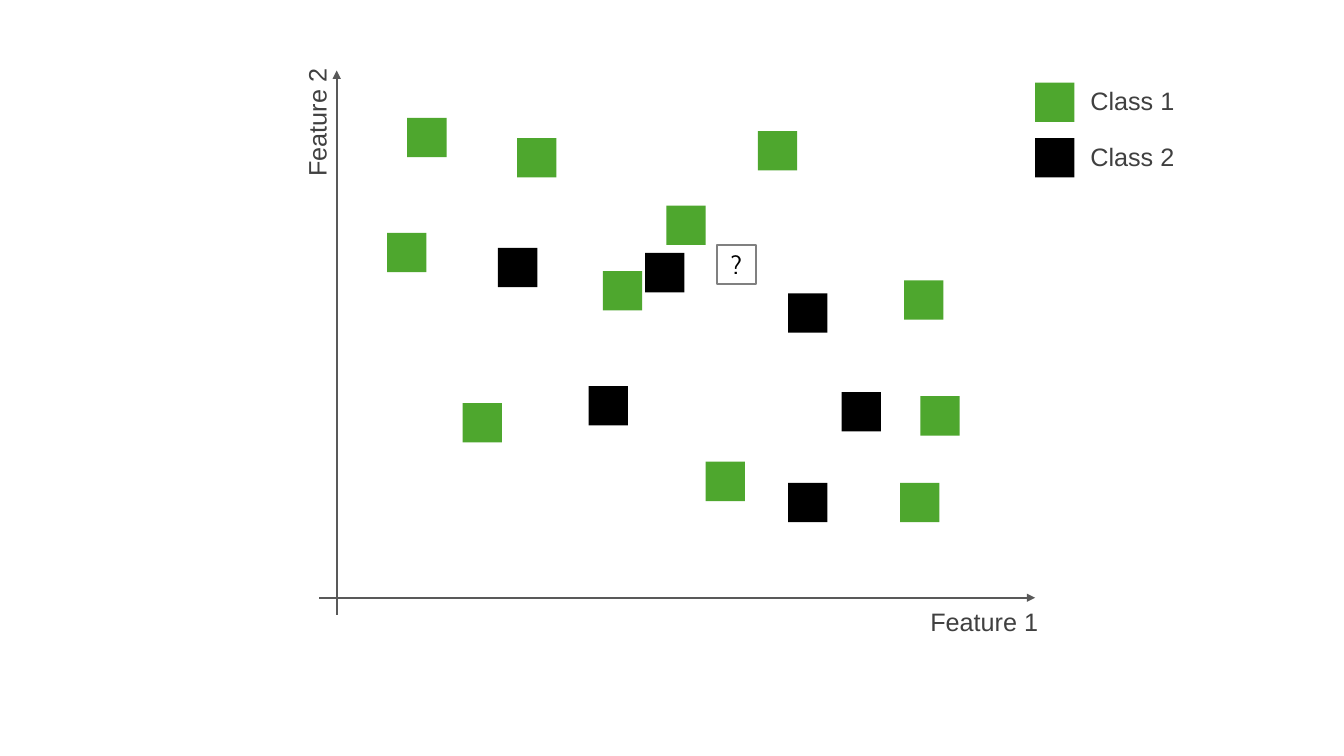
from lxml import etree
from pptx import Presentation
from pptx import util as u
from pptx.dml.color import RGBColor
from pptx.enum import shapes, text
from pptx.oxml.ns import qn

COLORS = {"class 1": "4EA72E", "class 2": "000000", "axis": "595959",
          "label": "404040", "query": "808080", "mark": "000000"}

# Left and top of every sample, in points
SAMPLES = {
    "class 1": [(290.9, 84.2), (276.5, 166.3), (369.4, 98.6), (330.5, 288),
                (430.6, 193.7), (475.9, 146.9), (541.4, 93.6), (645.8, 200.2),
                (504, 329.8), (657.4, 283), (643, 344.9)],
    "class 2": [(355.7, 177.1), (420.5, 275.8), (460.8, 180.7),
                (563, 209.5), (563, 344.9), (601.2, 280.1)],
}


class ScatterSlide:
    side = 28.1
    label_height = 28.8
    font_size = 18
    line_width = 1.5

    def __init__(self, slide):
        self.slide = slide

    def color(self, name):
        return RGBColor.from_string(COLORS[name])

    def set_text(self, shape, content, font, color):
        paragraph = shape.text_frame.paragraphs[0]
        paragraph.text = content
        run = paragraph.runs[0]
        run.font.name = font
        run.font.size = u.Pt(self.font_size)
        run.font.color.rgb = self.color(color)
        return paragraph

    def square(self, left, top):
        shape = self.slide.shapes.add_shape(
            shapes.MSO_SHAPE.RECTANGLE, u.Pt(left), u.Pt(top),
            u.Pt(self.side), u.Pt(self.side))
        shape.shadow.inherit = False
        return shape

    def sample(self, left, top, class_name):
        shape = self.square(left, top)
        shape.fill.solid()
        shape.fill.fore_color.rgb = self.color(class_name)
        shape.line.fill.background()

    def query(self, left, top):
        shape = self.square(left, top)
        shape.fill.background()
        shape.line.color.rgb = self.color("query")
        shape.line.width = u.Pt(self.line_width)
        shape.text_frame.vertical_anchor = text.MSO_ANCHOR.MIDDLE
        paragraph = self.set_text(shape, "?", "Cabin", "mark")
        paragraph.alignment = text.PP_ALIGN.CENTER

    def label(self, content, left, top, width, rotation=0):
        box = self.slide.shapes.add_textbox(
            u.Pt(left), u.Pt(top), u.Pt(width), u.Pt(self.label_height))
        box.rotation = rotation
        box.text_frame.word_wrap = False
        box.text_frame.auto_size = text.MSO_AUTO_SIZE.SHAPE_TO_FIT_TEXT
        self.set_text(box, content, "Arial", "label")

    def axis(self, *ends):
        connector = self.slide.shapes.add_connector(
            shapes.MSO_CONNECTOR.STRAIGHT, *(u.Pt(end) for end in ends))
        connector.line.color.rgb = self.color("axis")
        connector.line.width = u.Pt(self.line_width)
        properties = connector._element.spPr
        line = properties.find(qn("a:ln"))
        etree.SubElement(line, qn("a:tailEnd"), type="triangle")
        etree.SubElement(properties, qn("a:effectLst"))


def main():
    presentation = Presentation()
    presentation.slide_width = u.Pt(960)
    presentation.slide_height = u.Pt(540)
    blank_layout = presentation.slide_layouts[6]
    scatter = ScatterSlide(presentation.slides.add_slide(blank_layout))

    # Axes
    scatter.axis(228.2, 427, 739.4, 427)
    scatter.axis(240.5, 439.2, 240.5, 50.4)
    scatter.label("Feature 1", 657.4, 429.8, 92.2)
    scatter.label("Feature 2", 180, 72.7, 92.2, rotation=270)

    # Samples and the point to classify
    for class_name, positions in SAMPLES.items():
        for left, top in positions:
            scatter.sample(left, top, class_name)
    scatter.query(511.9, 175)

    # Legend
    for row, class_name in enumerate(SAMPLES):
        top = 59 + 39.6 * row
        scatter.sample(739.4, top, class_name)
        scatter.label(class_name.capitalize(), 771.8, top - 1.4, 74.9)

    presentation.save("out.pptx")


if __name__ == "__main__":
    main()
